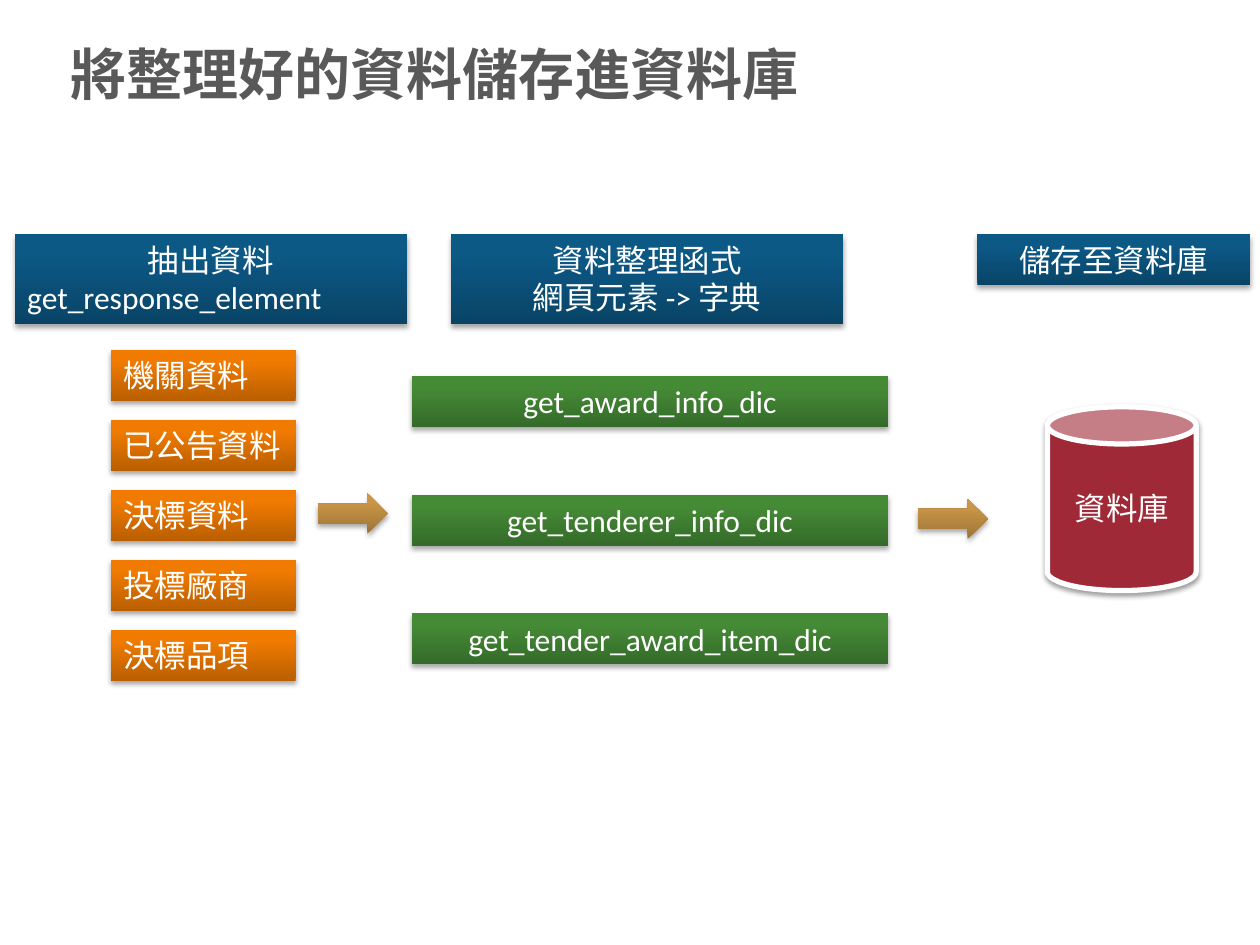
from lxml import etree
from copy import deepcopy
from pptx import Presentation
from pptx.dml.color import RGBColor
from pptx.enum.shapes import MSO_SHAPE
from pptx.enum.text import MSO_ANCHOR, PP_ALIGN
from pptx.oxml.ns import qn
from pptx.util import Pt

RECT, ARROW, CAN = MSO_SHAPE.RECTANGLE, MSO_SHAPE.RIGHT_ARROW, MSO_SHAPE.CAN
LEFT, CENTER = PP_ALIGN.LEFT, PP_ALIGN.CENTER
TOP, MIDDLE = MSO_ANCHOR.TOP, MSO_ANCHOR.MIDDLE

COLORS = {"title": "595959", "white": "FFFFFF", "red": "9F2936"}
# Gradient stops from bottom to top
GRADIENTS = {
    "orange": ("BA5F00", "F17B00", "F27C00"),
    "blue": ("094467", "0C5986", "0A5A89"),
    "green": ("356B2A", "458B36", "458D35"),
    "gold": ("9C7437", "CA9647", "CE9845"),
}
STOPS = (0, 0.8, 1)


def write(tf, *lines, size=18, font="Calibri", color="white", bold=False,
          aligns=(LEFT,), anchor=TOP):
    """Write one paragraph per line; the last alignment serves the rest."""
    tf.word_wrap = True
    tf.vertical_anchor = anchor
    for i, line in enumerate(lines):
        p = tf.paragraphs[0] if i == 0 else tf.add_paragraph()
        p.alignment = aligns[min(i, len(aligns) - 1)]
        r = p.add_run()
        r.text = line
        r.font.size, r.font.name, r.font.bold = Pt(size), font, bold
        r.font.color.rgb = RGBColor.from_string(COLORS[color])


class Deck:
    def __init__(self, width, height):
        self.prs = Presentation()
        self.prs.slide_width, self.prs.slide_height = Pt(width), Pt(height)
        self.slide = self.prs.slides.add_slide(self.prs.slide_layouts[5])

    def title(self, text, x, y, w, h):
        sp = self.slide.shapes.title
        sp.left, sp.top, sp.width, sp.height = Pt(x), Pt(y), Pt(w), Pt(h)
        write(sp.text_frame, text, size=32, font="Arial", color="title",
              bold=True, anchor=MIDDLE)

    def shape(self, kind, x, y, w, h, alpha=35, dist=1.8):
        sp = self.slide.shapes.add_shape(kind, Pt(x), Pt(y), Pt(w), Pt(h))
        sp.line.fill.background()
        self.shadow(sp, alpha, dist)
        return sp

    def shadow(self, sp, alpha, dist):
        sp.shadow.inherit = False
        effects = sp._element.spPr.find(qn("a:effectLst"))
        outer = etree.SubElement(
            effects, qn("a:outerShdw"), blurRad=str(Pt(3.1)),
            dist=str(Pt(dist)), dir="5400000", rotWithShape="0")
        clr = etree.SubElement(outer, qn("a:srgbClr"), val="000000")
        etree.SubElement(clr, qn("a:alpha"), val=str(alpha * 1000))

    def gradient(self, sp, name):
        sp.fill.gradient()
        sp.fill.gradient_angle = 90
        stop_list = next(sp._element.spPr.iter(qn("a:gsLst")))
        stop_list.insert(1, deepcopy(stop_list[0]))
        for stop, pos, color in zip(sp.fill.gradient_stops, STOPS,
                                    GRADIENTS[name]):
            stop.position = pos
            stop.color.rgb = RGBColor.from_string(color)

    def box(self, name, x, y, w, h, *lines, aligns=(CENTER,)):
        sp = self.shape(RECT, x, y, w, h)
        self.gradient(sp, name)
        write(sp.text_frame, *lines, aligns=aligns)

    def arrow(self, x, y):
        self.gradient(self.shape(ARROW, x, y, 40, 23), "gold")

    def database(self, text, x, y, w, h):
        sp = self.shape(CAN, x, y, w, h, alpha=38, dist=1.6)
        sp.fill.solid()
        sp.fill.fore_color.rgb = RGBColor.from_string(COLORS["red"])
        sp.line.color.rgb = RGBColor.from_string(COLORS["white"])
        sp.line.width = Pt(3)
        write(sp.text_frame, text, aligns=(CENTER,), anchor=MIDDLE)


def main():
    deck = Deck(720, 540)
    deck.title("將整理好的資料儲存進資料庫", 33, 20, 648, 44)

    # Column headings
    deck.box("blue", 8.5, 134, 224, 51, "抽出資料", "get_response_element",
             aligns=(CENTER, LEFT))
    deck.box("blue", 257.75, 134, 224, 51, "資料整理函式", "網頁元素 -> 字典")
    deck.box("blue", 558.5, 134, 156, 29, "儲存至資料庫")

    # Extracted data
    sources = ("機關資料", "已公告資料", "決標資料", "投標廠商", "決標品項")
    for i, text in enumerate(sources):
        deck.box("orange", 63.5, 200 + 40 * i, 105.5, 29, text, aligns=(LEFT,))

    # Functions that tidy the data
    functions = ("get_award_info_dic", "get_tenderer_info_dic",
                 "get_tender_award_item_dic")
    for i, text in enumerate(functions):
        deck.box("green", 235.5, 215 + 67.75 * i, 272, 29, text)

    # Flow into the database
    deck.arrow(181.5, 282)
    deck.arrow(524.5, 285)
    deck.database("資料庫", 598.5, 232.5, 85, 105)

    deck.prs.save("out.pptx")


if __name__ == "__main__":
    main()
